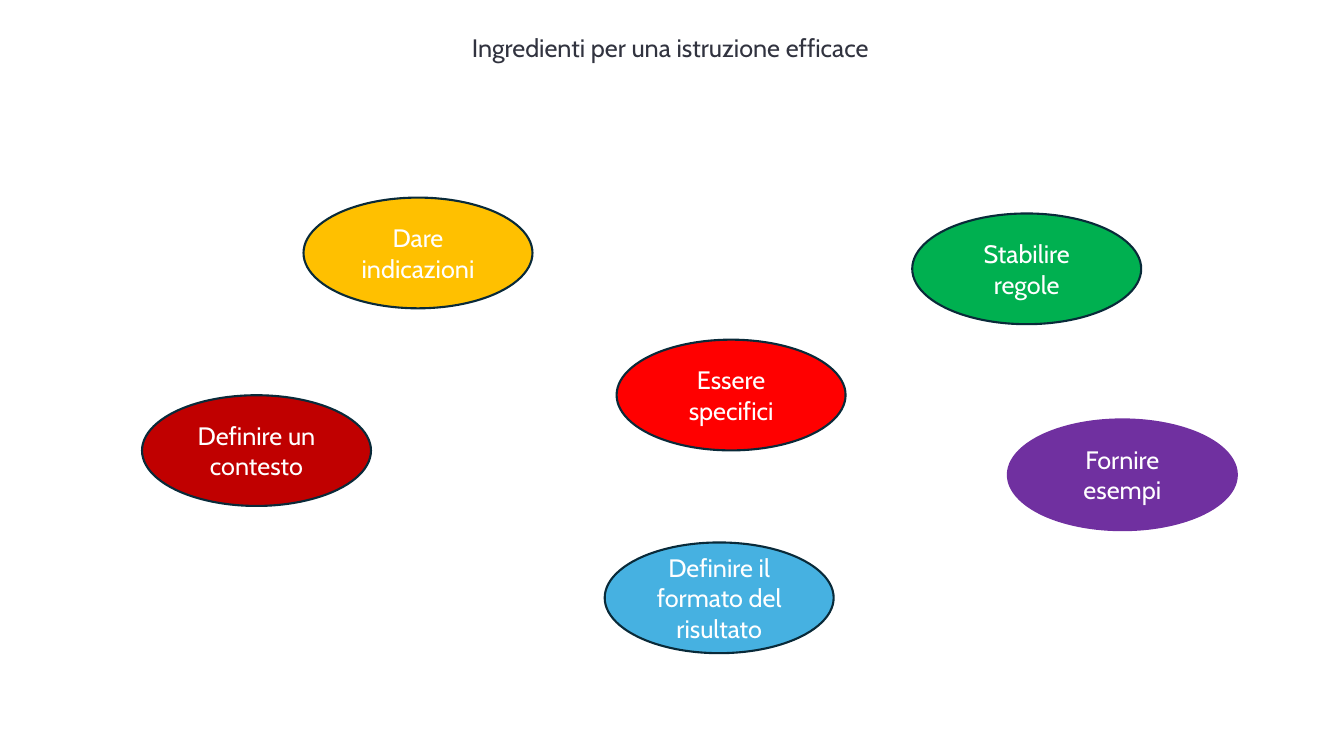
from pptx import Presentation
from pptx.dml.color import RGBColor
from pptx.enum.shapes import MSO_SHAPE
from pptx.enum.text import MSO_ANCHOR, MSO_AUTO_SIZE, PP_ALIGN
from pptx.util import Cm, Pt

OVAL = MSO_SHAPE.OVAL
MIDDLE = MSO_ANCHOR.MIDDLE
CENTER = PP_ALIGN.CENTER
GROW = MSO_AUTO_SIZE.SHAPE_TO_FIT_TEXT

FONT = {"name": "Cabin", "size": Pt(18)}
DARK = "31333F"
EDGE = "092A39"
WHITE = "FFFFFF"
VIOLET = "7030A0"
WIDTH, HEIGHT = 5.77, 2.79

TITLE = "Ingredienti per una istruzione efficace"
STEPS = [
    ("Dare indicazioni", 7.65, 4.98, "FFC000", EDGE),
    ("Definire un contesto", 3.58, 9.96, "C00000", EDGE),
    ("Essere specifici", 15.54, 8.56, "FF0000", EDGE),
    ("Stabilire regole", 22.99, 5.38, "00B050", EDGE),
    ("Fornire esempi", 25.4, 10.57, VIOLET, VIOLET),
    ("Definire il formato del risultato", 15.24, 13.67, "46B1E1", EDGE),
]


def color(code):
    """Turn a hex string into a colour."""
    return RGBColor.from_string(code)


def write(shape, words, ink):
    """Write one centred paragraph in a shape."""
    frame = shape.text_frame
    frame.word_wrap = True
    para = frame.paragraphs[0]
    para.alignment = CENTER
    run = para.add_run()
    run.text = words
    for key, value in FONT.items():
        setattr(run.font, key, value)
    run.font.color.rgb = color(ink)
    return frame


def title(slide, box):
    """Place the heading in its box."""
    shape = slide.shapes.add_textbox(*map(Cm, box))
    write(shape, TITLE, DARK).auto_size = GROW


def bubble(slide, box, words, fill, edge):
    """Place one labelled ellipse in its box."""
    shape = slide.shapes.add_shape(OVAL, *map(Cm, box))
    shape.shadow.inherit = False
    shape.fill.solid()
    shape.fill.fore_color.rgb = color(fill)
    shape.line.color.rgb = color(edge)
    shape.line.width = Pt(1.5)
    write(shape, words, WHITE).vertical_anchor = MIDDLE


def main():
    """Build the slide and save it."""
    deck = Presentation()
    deck.slide_width, deck.slide_height = Cm(33.87), Cm(19.05)
    slide = deck.slides.add_slide(deck.slide_layouts[6])
    title(slide, (0.33, 0.69, 33.12, 1.02))
    for words, left, top, fill, edge in STEPS:
        bubble(slide, (left, top, WIDTH, HEIGHT), words, fill, edge)
    deck.save("out.pptx")


if __name__ == "__main__":
    main()
